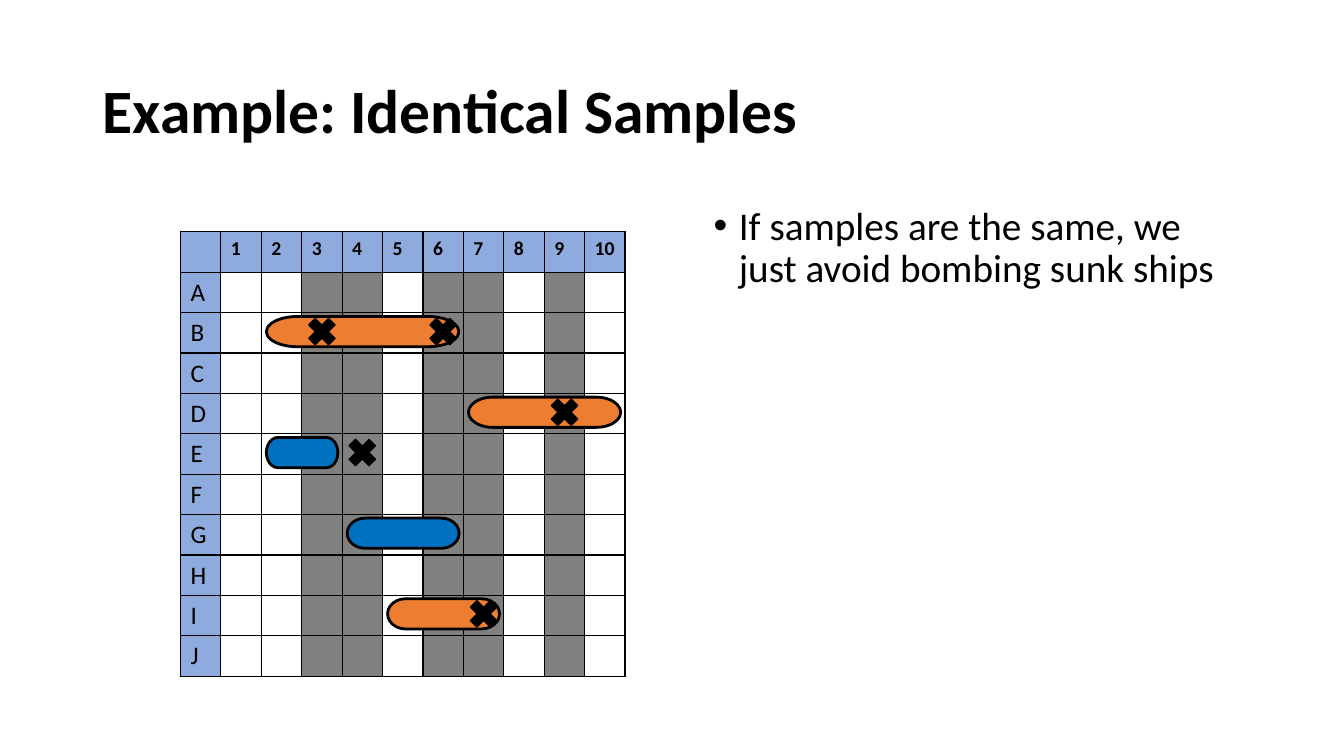
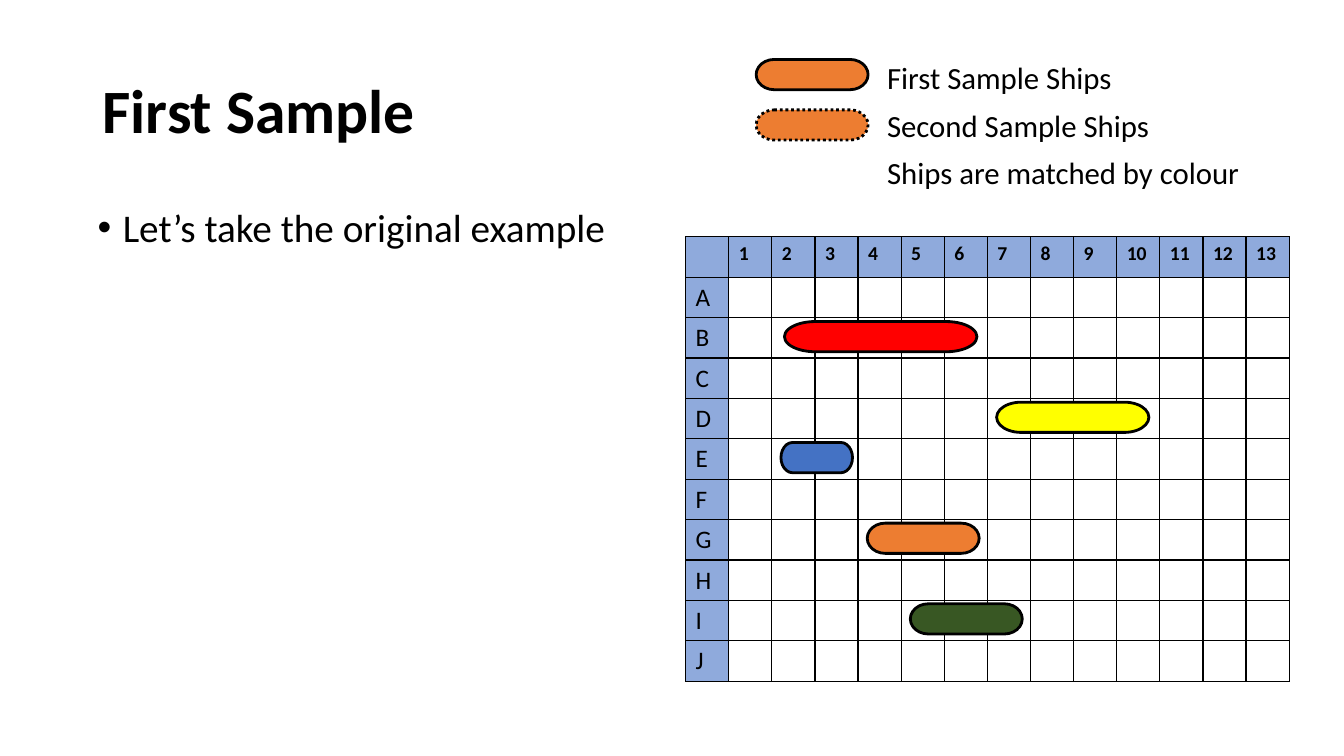
from lxml import etree
from pptx import Presentation
from pptx import util as u
from pptx.dml.color import RGBColor
from pptx.enum import dml, shapes, text
from pptx.oxml import ns

FONT = "Calibri"
BLACK, WHITE, GREY = "000000", "FFFFFF", "808080"
HEADER_BLUE, ORANGE, BLUE = "8FAADC", "ED7D31", "0070C0"
ROW_LABELS = "ABCDEFGHIJ"
GRID_HEIGHT = 4.41
PITCH = 0.4
SHIP_HEIGHT = 0.3
CROSS_SIZE = 0.38


def colour(value):
    return RGBColor.from_string(value)


def set_font(paragraph, size, bold=False):
    font = paragraph.font
    font.name, font.size, font.bold = FONT, u.Pt(size), bold
    font.color.rgb = colour(BLACK)


def add_bullet(paragraph):
    properties = paragraph._p.get_or_add_pPr()
    properties.set("marL", str(u.Inches(0.25)))
    properties.set("indent", str(u.Inches(-0.25)))
    etree.SubElement(properties, ns.qn("a:buFont"), typeface="Arial")
    etree.SubElement(properties, ns.qn("a:buChar"), char="•")


def add_text(page, place, lines, size, bold=False, bullets=False, anchor=text.MSO_ANCHOR.TOP):
    box = page.shapes.add_textbox(*map(u.Inches, place))
    frame = box.text_frame
    frame.word_wrap = True
    frame.vertical_anchor = anchor
    for index, line in enumerate(lines):
        para = frame.paragraphs[0] if index == 0 else frame.add_paragraph()
        para.text = line
        para.line_spacing = 0.9
        if index:
            para.space_before = u.Pt(10)
        if bullets:
            add_bullet(para)
        set_font(para, size, bold)


def add_title(page, title):
    add_text(page, (0.92, 0.4, 11.5, 1.45), [title], 44, bold=True,
             anchor=text.MSO_ANCHOR.MIDDLE)


def add_body(page, left, top, line):
    add_text(page, (left, top, 5.44, 4.76), [line], 28, bullets=True)


def add_shape(page, kind, place, fill, line_width):
    shape = page.shapes.add_shape(kind, *map(u.Inches, place))
    shape.shadow.inherit = False
    shape.fill.solid()
    shape.fill.fore_color.rgb = colour(fill)
    shape.line.color.rgb = colour(BLACK)
    shape.line.width = u.Pt(line_width)
    return shape


def add_ship(page, left, top, length, fill):
    """Draw a ship that covers the given number of squares."""
    place = (left, top, PITCH * length - 0.09, SHIP_HEIGHT)
    return add_shape(page, shapes.MSO_SHAPE.FLOWCHART_TERMINATOR, place, fill, 2)


def style_cell(cell, fill):
    properties = cell._tc.get_or_add_tcPr()
    for side in ("lnL", "lnR", "lnT", "lnB"):
        border = etree.SubElement(properties, ns.qn(f"a:{side}"), w=str(u.Pt(1)))
        solid = etree.SubElement(border, ns.qn("a:solidFill"))
        etree.SubElement(solid, ns.qn("a:srgbClr"), val=BLACK)
    cell.fill.solid()
    cell.fill.fore_color.rgb = colour(fill)


def add_grid(page, left, top, width, columns, shaded=()):
    """Draw the lettered and numbered board, with some columns in grey."""
    rows = len(ROW_LABELS) + 1
    place = (left, top, width, GRID_HEIGHT)
    table = page.shapes.add_table(rows, columns + 1, *map(u.Inches, place)).table
    table.first_row = table.horz_banding = False
    for row in range(rows):
        for column in range(columns + 1):
            cell = table.cell(row, column)
            if row == 0:
                cell.text = str(column) if column else ""
            elif column == 0:
                cell.text = ROW_LABELS[row - 1]
            if row == 0 or column == 0:
                fill = HEADER_BLUE
            else:
                fill = GREY if column in shaded else WHITE
            style_cell(cell, fill)
            set_font(cell.text_frame.paragraphs[0], 18 if row else 14, bold=row == 0)


def row_top(grid_top, label):
    return grid_top + PITCH * (ROW_LABELS.index(label) + 1)


def add_fleet(page, left, top, column_width, inset, ships):
    """Place ships given as row letter, first column, length and fill."""
    for label, column, length, fill in ships:
        add_ship(page, left + column_width * column + inset,
                 row_top(top, label) + 0.04, length, fill)


def build_identical_samples(page):
    left, top, width, columns = 1.79, 2.3, 4.41, 10
    column_width = width / (columns + 1)
    add_title(page, "Example: Identical Samples")
    add_grid(page, left, top, width, columns, shaded=(3, 4, 6, 7, 9))
    add_fleet(page, left, top, column_width, 0.05, [
        ("G", 4, 3, BLUE), ("I", 5, 3, ORANGE), ("E", 2, 2, BLUE),
        ("B", 2, 5, ORANGE), ("D", 7, 4, ORANGE)])
    for label, column in [("E", 4), ("I", 7), ("D", 9), ("B", 6), ("B", 3)]:
        place = (left + column_width * column + 0.01, row_top(top, label),
                 CROSS_SIZE, CROSS_SIZE)
        add_shape(page, shapes.MSO_SHAPE.MATH_MULTIPLY, place, BLACK, 1)
    add_body(page, 6.98, 2, "If samples are the same, we just avoid bombing sunk ships")


def build_first_sample(page):
    left, top, width, columns = 6.8, 2.35, 5.99, 13
    add_title(page, "First Sample")
    add_grid(page, left, top, width, columns)
    add_fleet(page, left, top, width / (columns + 1), 0.09, [
        ("G", 4, 3, ORANGE), ("I", 5, 3, "385723"), ("E", 2, 2, "4472C4"),
        ("B", 2.08, 5, "FF0000"), ("D", 7, 4, "FFFF00")])
    add_body(page, 0.87, 2.02, "Let’s take the original example")
    add_ship(page, 7.5, 0.59, 3, ORANGE)
    second_sample = add_ship(page, 7.5, 1.09, 3, ORANGE)
    second_sample.line.dash_style = dml.MSO_LINE.ROUND_DOT
    add_text(page, (8.7, 0.58, 3.77, 1.63),
             ["First Sample Ships", "Second Sample Ships", "Ships are matched by colour"], 22)


def main():
    deck = Presentation()
    deck.slide_width, deck.slide_height = u.Inches(13.33), u.Inches(7.5)
    for build in (build_identical_samples, build_first_sample):
        build(deck.slides.add_slide(deck.slide_layouts[6]))
    deck.save("out.pptx")


if __name__ == "__main__":
    main()
